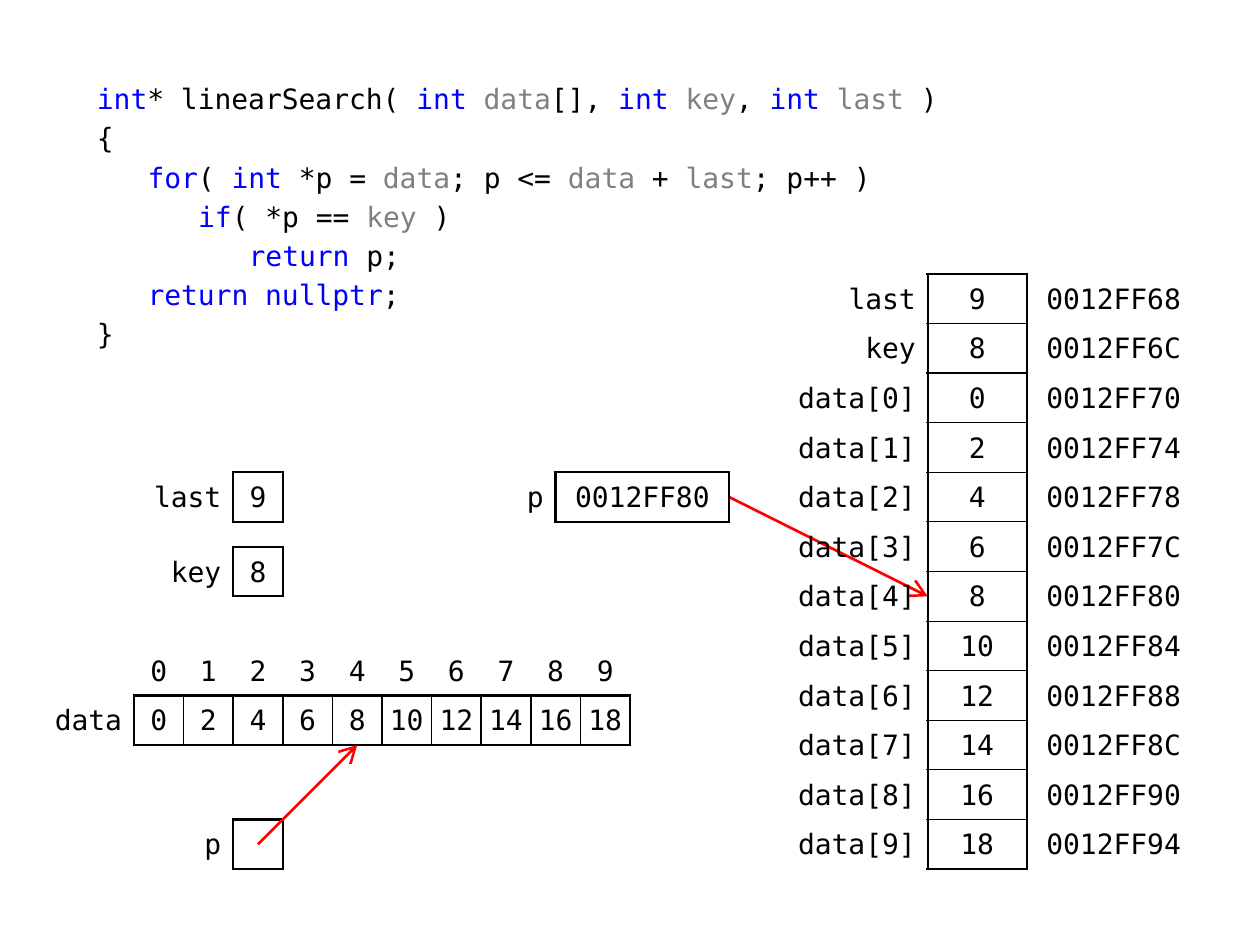
from dataclasses import dataclass

from lxml import etree
from pptx import Presentation
from pptx import util as u
from pptx.dml.color import RGBColor
from pptx.enum import shapes, text
from pptx.oxml import ns

PX = 7200  # EMU per px: 127 px to the inch, 50 px to the centimetre
UNIT = 50  # side of one memory cell


@dataclass(frozen=True)
class Theme:
    font: str = "DejaVu Sans Mono"
    size: int = 16
    ink: str = "000000"
    word: str = "0000FF"
    param: str = "808080"
    paper: str = "FFFFFF"
    arrow: str = "FF0000"
    frame: float = 1.5


THEME = Theme()
WORDS = {"int", "for", "if", "return", "nullptr"}
PARAMS = {"data", "key", "last"}

# Indent level, then the line with its coloured parts divided by bars
CODE = [
    (0, "int|* linearSearch( |int |data|[], |int |key|, |int |last| )"),
    (0, "{"),
    (1, "for|( |int| *p = |data|; p <= |data| + |last|; p++ )"),
    (2, "if|( *p == |key| )"),
    (3, "return| p;"),
    (1, "return nullptr|;"),
    (0, "}"),
]
DATA = range(0, 20, 2)
START = 0x0012FF68


def style(run, color=THEME.ink):
    run.font.name = THEME.font
    run.font.size = u.Pt(THEME.size)
    run.font.color.rgb = RGBColor.from_string(color)


def tint(part):
    names = set(part.split())
    if names <= WORDS:
        return THEME.word
    return THEME.param if names <= PARAMS else THEME.ink


def border(cell, widths):
    """Draw the left, right, top and bottom edges; zero means no line."""
    props = cell._tc.get_or_add_tcPr()
    for spot, (side, width) in enumerate(zip("LRTB", widths)):
        line = etree.Element(ns.qn(f"a:ln{side}"), w=str(u.Pt(width)))
        if width:
            fill = etree.SubElement(line, ns.qn("a:solidFill"))
            etree.SubElement(fill, ns.qn("a:srgbClr"), val=THEME.ink)
        else:
            etree.SubElement(line, ns.qn("a:noFill"))
        props.insert(spot, line)


def fill_cell(cell, value, label, solid):
    # Labels keep a gap on the right only, so that they stay on one line
    cell.margin_left = 0
    cell.margin_right = (12 if label else 0) * PX
    cell.margin_top, cell.margin_bottom = 5 * PX, 3 * PX
    cell.vertical_anchor = text.MSO_ANCHOR.MIDDLE
    if solid:
        cell.fill.solid()
        cell.fill.fore_color.rgb = RGBColor.from_string(THEME.paper)
    else:
        cell.fill.background()
    cell.text_frame.text = str(value)
    para = cell.text_frame.paragraphs[0]
    para.alignment = text.PP_ALIGN.RIGHT if label else text.PP_ALIGN.CENTER
    for run in para.runs:
        style(run)


def grid(slide, left, top, cols, rows, boxed, inner=THEME.frame, solid=False):
    """Place a table whose boxed (row, column) cells are framed."""
    high = UNIT * len(rows)
    frame = slide.shapes.add_table(
        len(rows), len(cols), left * PX, top * PX, sum(cols) * PX, high * PX)
    table = frame.table
    table.first_row = table.horz_banding = False
    for col, width in zip(table.columns, cols):
        col.width = width * PX
    for r, values in enumerate(rows):
        table.rows[r].height = UNIT * PX
        for c, value in enumerate(values):
            cell = table.cell(r, c)
            fill_cell(cell, value, c == 0, solid and r == len(rows) - 1)
            # An edge is inner between two boxed cells, and frame beside one
            near = [(r, c - 1), (r, c + 1), (r - 1, c), (r + 1, c)]
            sums = [((r, c) in boxed) + (spot in boxed) for spot in near]
            border(cell, [(0, THEME.frame, inner)[n] for n in sums])


def code(slide, left, top, width, height):
    body = slide.placeholders[1]
    body.left, body.top = left * PX, top * PX
    body.width, body.height = width * PX, height * PX
    frame = body.text_frame
    frame.auto_size = text.MSO_AUTO_SIZE.NONE
    for n, (level, line) in enumerate(CODE):
        para = frame.add_paragraph() if n else frame.paragraphs[0]
        props = para._p.get_or_add_pPr()
        props.set("marL", str(level * 51 * PX))
        props.set("indent", "0")
        etree.SubElement(props, ns.qn("a:buNone"))
        for part in line.split("|"):
            run = para.add_run()
            run.text = part
            style(run, tint(part))


def array(slide, left, top):
    count = len(DATA)
    rows = [["", *range(count)], ["data", *DATA]]
    boxed = {(1, c + 1) for c in range(count)}
    grid(slide, left, top, [100] + [UNIT] * count, rows, boxed, 1, True)


def memory(slide, left, top):
    cells = [("last", 9), ("key", 8)]
    cells += [(f"data[{n}]", value) for n, value in enumerate(DATA)]
    rows = [(name, value, f"{START + 4 * n:08X}")
            for n, (name, value) in enumerate(cells)]
    boxed = {(r, 1) for r in range(len(rows))}
    grid(slide, left, top, [150, 100, 175], rows, boxed, 0.75)


def variable(slide, left, top, name, value, cols):
    grid(slide, left, top, cols, [(name, value)], {(0, 1)})


def arrow(slide, *ends):
    line = slide.shapes.add_connector(
        shapes.MSO_CONNECTOR.STRAIGHT, *(end * PX for end in ends))
    line.line.color.rgb = RGBColor.from_string(THEME.arrow)
    line.line.width = u.Pt(THEME.frame)
    props = line._element.spPr
    etree.SubElement(props.find(ns.qn("a:ln")), ns.qn("a:tailEnd"),
                     type="arrow", w="lg", len="lg")
    etree.SubElement(props, ns.qn("a:effectLst"))


def main():
    deck = Presentation()
    deck.slide_width, deck.slide_height = u.Inches(10), u.Inches(7.5)
    slide = deck.slides.add_slide(deck.slide_layouts[1])
    title = slide.shapes.title._element
    title.getparent().remove(title)

    # Source code
    code(slide, 85, 76, 875, 300)

    # Array with the pointer drawn as an arrow
    array(slide, 35, 651)
    variable(slide, 185, 826, "p", "", [UNIT, UNIT])
    arrow(slide, 260, 851, 360, 751)
    variable(slide, 160, 551, "key", 8, [75, UNIT])

    # Memory with the pointer holding an address
    arrow(slide, 735, 501, 935, 601)
    memory(slide, 785, 276)
    variable(slide, 510, 476, "p", "0012FF80", [UNIT, 175])
    variable(slide, 135, 476, "last", 9, [100, UNIT])

    deck.save("out.pptx")


if __name__ == "__main__":
    main()
